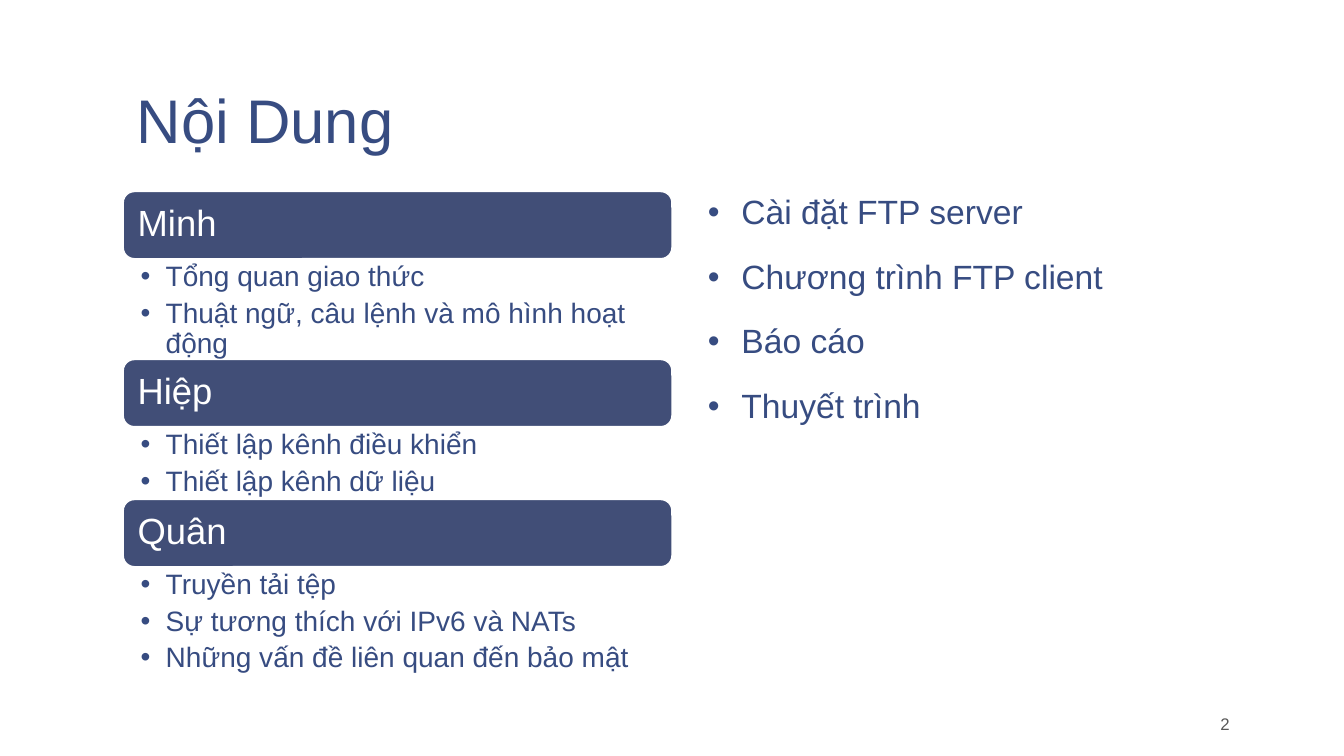
from lxml import etree
from pptx import Presentation
from pptx.dml.color import RGBColor
from pptx.enum.shapes import MSO_SHAPE
from pptx.enum.text import MSO_ANCHOR, MSO_AUTO_SIZE, PP_ALIGN
from pptx.oxml.ns import qn
from pptx.util import Pt

ROUNDED = MSO_SHAPE.ROUNDED_RECTANGLE
TOP, MIDDLE, BOTTOM = MSO_ANCHOR.TOP, MSO_ANCHOR.MIDDLE, MSO_ANCHOR.BOTTOM
LEFT, RIGHT = PP_ALIGN.LEFT, PP_ALIGN.RIGHT
NO_FIT = MSO_AUTO_SIZE.NONE

NAVY = RGBColor(0x37, 0x4C, 0x81)
BAR = RGBColor(0x41, 0x4E, 0x77)
GREY = RGBColor(0x59, 0x59, 0x59)
WHITE = RGBColor(0xFF, 0xFF, 0xFF)

FONT = "Arial"
COLUMN_LEFT, COLUMN_WIDTH = 88, 392
STACK_TOP, BAR_HEIGHT = 136.8, 48
PLACEHOLDER_INSETS = (9.6, 4.8, 9.6, 4.8)

MEMBERS = [
    ("Minh", 72, ["Tổng quan giao thức", "Thuật ngữ, câu lệnh và mô hình hoạt động"]),
    ("Hiệp", 52, ["Thiết lập kênh điều khiển", "Thiết lập kênh dữ liệu"]),
    ("Quân", 78.5, ["Truyền tải tệp", "Sự tương thích với IPv6 và NATs",
                    "Những vấn đề liên quan đến bảo mật"]),
]
SHARED_TASKS = ["Cài đặt FTP server", "Chương trình FTP client", "Báo cáo", "Thuyết trình"]


def apply(target, values):
    for name, value in values.items():
        setattr(target, name, value)


def add_bullet(paragraph, indent):
    properties = paragraph._p.get_or_add_pPr()
    properties.set("marL", str(Pt(indent)))
    properties.set("indent", str(-Pt(indent)))
    etree.SubElement(properties, qn("a:buFont")).set("typeface", FONT)
    etree.SubElement(properties, qn("a:buChar")).set("char", "•")


def write_text(shape, lines, size, color, insets, anchor=TOP, indent=0, **spacing):
    frame = shape.text_frame
    left, top, right, bottom = (Pt(inset) for inset in insets)
    apply(frame, {
        "text": "\n".join(lines), "word_wrap": True, "auto_size": NO_FIT,
        "vertical_anchor": anchor, "margin_left": left, "margin_top": top,
        "margin_right": right, "margin_bottom": bottom,
    })
    for paragraph in frame.paragraphs:
        apply(paragraph, {"alignment": LEFT, **spacing})
        apply(paragraph.font, {"name": FONT, "size": Pt(size)})
        paragraph.font.color.rgb = color
        if indent:
            add_bullet(paragraph, indent)


def add_text(slide, box, lines, size, color, insets, **format_values):
    shape = slide.shapes.add_textbox(*(Pt(length) for length in box))
    write_text(shape, lines, size, color, insets, **format_values)


def add_title(slide, text):
    title = slide.shapes.title
    apply(title, {"left": Pt(COLUMN_LEFT), "top": Pt(5.8),
                  "width": Pt(800), "height": Pt(110.2)})
    write_text(title, [text], 44, NAVY, PLACEHOLDER_INSETS, anchor=BOTTOM, line_spacing=0.85)


def add_bar(slide, top, name):
    bar = slide.shapes.add_shape(
        ROUNDED, Pt(COLUMN_LEFT), Pt(top), Pt(COLUMN_WIDTH), Pt(BAR_HEIGHT))
    bar.shadow.inherit = False
    bar.fill.solid()
    bar.fill.fore_color.rgb = BAR
    bar.line.color.rgb = WHITE
    bar.line.width = Pt(1)
    write_text(bar, [name], 26, WHITE, (8, 8, 8, 8), anchor=MIDDLE, line_spacing=0.9)


def add_members(slide):
    top = STACK_TOP
    for name, height, tasks in MEMBERS:
        add_bar(slide, top, name)
        top += BAR_HEIGHT
        add_text(slide, (COLUMN_LEFT, top, COLUMN_WIDTH, height), tasks, 20, NAVY,
                 (12.4, 2.6, 14.4, 2.6), indent=18, line_spacing=0.9, space_after=Pt(4.6))
        top += height


def main():
    presentation = Presentation()
    apply(presentation, {"slide_width": Pt(960), "slide_height": Pt(540)})
    slide = presentation.slides.add_slide(presentation.slide_layouts[5])
    add_title(slide, "Nội Dung")
    add_members(slide)
    add_text(slide, (496, 134, COLUMN_WIDTH, 352), SHARED_TASKS, 24, NAVY,
             PLACEHOLDER_INSETS, indent=24, line_spacing=0.95, space_before=Pt(18.7))
    add_text(slide, (800.6, 504, 87.4, 25), ["2"], 12, GREY,
             PLACEHOLDER_INSETS, anchor=BOTTOM, alignment=RIGHT)
    presentation.save("out.pptx")


if __name__ == "__main__":
    main()
